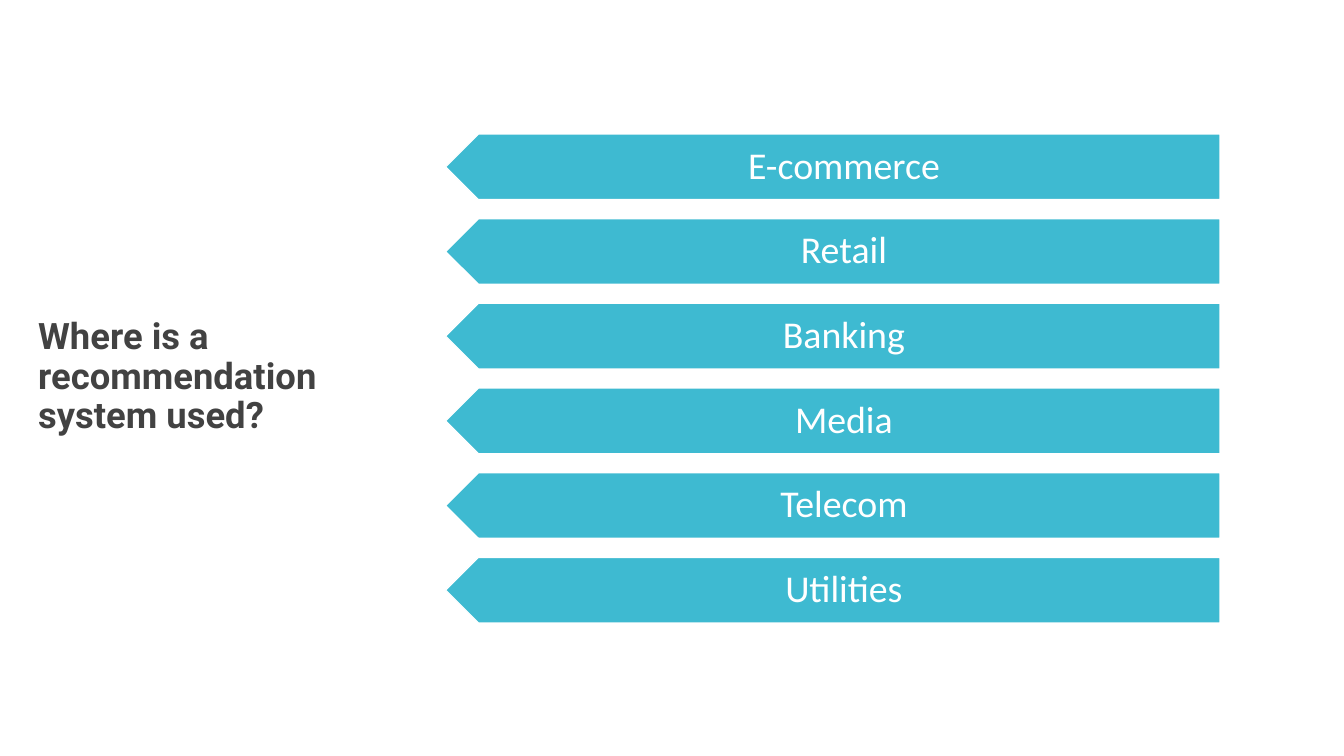
from pptx import Presentation
from pptx.dml.color import RGBColor
from pptx.enum.shapes import MSO_SHAPE
from pptx.enum.text import MSO_ANCHOR, PP_ALIGN
from pptx.util import Inches, Pt

PENTAGON = MSO_SHAPE.PENTAGON
MIDDLE = MSO_ANCHOR.MIDDLE
LEFT, CENTER = PP_ALIGN.LEFT, PP_ALIGN.CENTER

WHITE = RGBColor(0xFF, 0xFF, 0xFF)
TEAL = RGBColor(0x3E, 0xBA, 0xD1)
GREY = RGBColor(0x42, 0x42, 0x42)

TITLE = "Where is a recommendation system used?"
SECTORS = ["E-commerce", "Retail", "Banking", "Media", "Telecom", "Utilities"]

TITLE_FONT = {"name": "Roboto", "size": Pt(26), "bold": True}
LABEL_FONT = {"name": "Calibri", "size": Pt(27), "bold": False}
TITLE_INSETS = (0.1, 0.05, 0.1, 0.05)
LABEL_INSETS = (0.28, 0.11, 0.21, 0.11)

# Columns and rows of the arrow list, in inches
ARROW_LEFT, ARROW_WIDTH = 4.42, 7.68
LABEL_LEFT, LABEL_WIDTH = 4.58, 7.51
FIRST_ROW, ROW_HEIGHT, ROW_GAP = 1.33, 0.65, 0.19


def add_text(s, box, text, font, color, align, insets):
    """Add a wrapped, vertically centred text box."""
    tf = s.shapes.add_textbox(*map(Inches, box)).text_frame
    sides = ("margin_left", "margin_top", "margin_right", "margin_bottom")
    frame = dict(zip(sides, map(Inches, insets)))
    frame.update(word_wrap=True, vertical_anchor=MIDDLE)
    for key, value in frame.items():
        setattr(tf, key, value)
    p = tf.paragraphs[0]
    p.alignment = align
    p.line_spacing = 0.9
    r = p.add_run()
    r.text = text
    for key, value in font.items():
        setattr(r.font, key, value)
    r.font.color.rgb = color


def add_arrow(s, box):
    """Add a bar that points to the left."""
    sp = s.shapes.add_shape(PENTAGON, *map(Inches, box))
    sp.rotation = 180
    sp.shadow.inherit = False
    sp.fill.solid()
    sp.fill.fore_color.rgb = TEAL
    sp.line.color.rgb = WHITE
    sp.line.width = Pt(0.85)


def main():
    prs = Presentation()
    prs.slide_width, prs.slide_height = Inches(13.33), Inches(7.5)
    s = prs.slides.add_slide(prs.slide_layouts[6])

    # Question on the left
    add_text(s, (0.28, 1.23, 3.22, 5.03), TITLE, TITLE_FONT, GREY, LEFT,
             TITLE_INSETS)

    # One labelled arrow per sector
    for row, sector in enumerate(SECTORS):
        top = FIRST_ROW + row * (ROW_HEIGHT + ROW_GAP)
        add_arrow(s, (ARROW_LEFT, top, ARROW_WIDTH, ROW_HEIGHT))
        add_text(s, (LABEL_LEFT, top, LABEL_WIDTH, ROW_HEIGHT), sector,
                 LABEL_FONT, WHITE, CENTER, LABEL_INSETS)

    prs.save("out.pptx")


if __name__ == "__main__":
    main()
